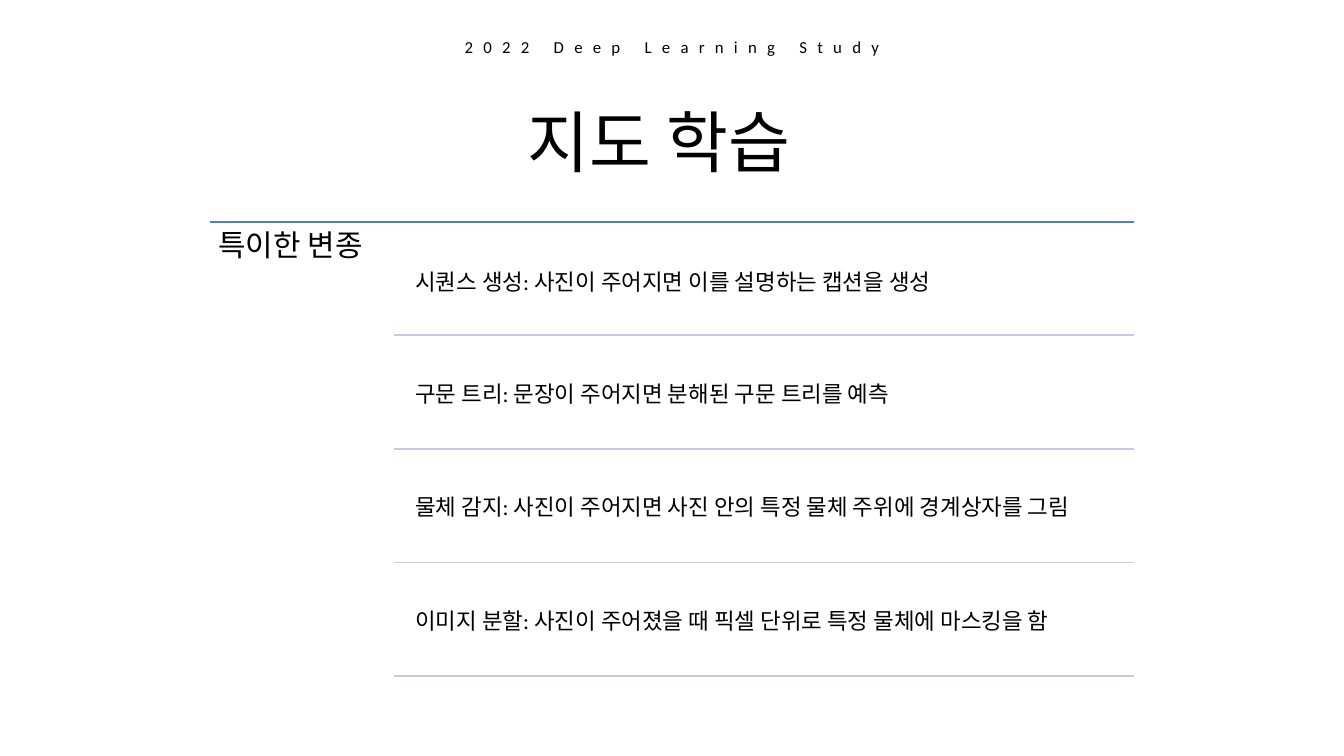
from pptx import Presentation
from pptx.dml.color import RGBColor
from pptx.enum.shapes import MSO_CONNECTOR
from pptx.enum.text import MSO_ANCHOR, PP_ALIGN
from pptx.oxml.ns import qn
from pptx.util import Inches, Pt

STRAIGHT = MSO_CONNECTOR.STRAIGHT
TOP, MIDDLE = MSO_ANCHOR.TOP, MSO_ANCHOR.MIDDLE
LEFT, CENTER = PP_ALIGN.LEFT, PP_ALIGN.CENTER
BLACK = RGBColor(0x00, 0x00, 0x00)
BLUE = RGBColor(0x4F, 0x81, 0xBD)
PALE_BLUE = RGBColor(0xC2, 0xCD, 0xE1)

LIST_LEFT, LIST_RIGHT, LIST_TOP = 3.12, 16.87, 3.3
ITEM_LEFT, RULE_LEFT = 6.08, 5.87
ROW, GAP = 1.69, 0.08
ITEMS = [
    "시퀀스 생성: 사진이 주어지면 이를 설명하는 캡션을 생성",
    "구문 트리: 문장이 주어지면 분해된 구문 트리를 예측",
    "물체 감지: 사진이 주어지면 사진 안의 특정 물체 주위에 경계상자를 그림",
    "이미지 분할: 사진이 주어졌을 때 픽셀 단위로 특정 물체에 마스킹을 함",
]

prs = Presentation()
prs.slide_width, prs.slide_height = Inches(20), Inches(11.25)
s = prs.slides.add_slide(prs.slide_layouts[5])


def write(sp, box, text, size, align=LEFT, anchor=TOP, inset=0.1, spacing=1.0):
    """Place a text shape, fill it with one paragraph and return the run."""
    sp.left, sp.top, sp.width, sp.height = (Inches(v) for v in box)
    tf = sp.text_frame
    frame = {"word_wrap": True, "vertical_anchor": anchor,
             "margin_left": Inches(inset), "margin_right": Inches(inset),
             "margin_top": Inches(min(inset, 0.13) if inset > 0.1 else 0.05),
             "margin_bottom": Inches(0.05)}
    for name, value in frame.items():
        setattr(tf, name, value)
    p = tf.paragraphs[0]
    p.alignment, p.line_spacing = align, spacing
    r = p.add_run()
    r.text = text
    for name, value in {"name": "Calibri", "size": Pt(size)}.items():
        setattr(r.font, name, value)
    r.font.color.rgb = BLACK
    return r


def add_rule(left, y, color):
    rule = s.shapes.add_connector(STRAIGHT, Inches(left), Inches(y),
                                  Inches(LIST_RIGHT), Inches(y))
    rule.line.color.rgb = color
    rule.line.width = Pt(2)
    sp_pr = rule._element.spPr
    sp_pr.append(sp_pr.makeelement(qn("a:effectLst"), {}))


# Header and title
header = s.shapes.add_textbox(0, 0, 0, 0)
r = write(header, (1.53, 0.49, 16.94, 0.4), "2022 Deep Learning Study", 18,
          align=CENTER, anchor=MIDDLE)
r.font._element.set("spc", "1100")
write(s.shapes.title, (7.75, 1.44, 4.5, 1.31), "지도 학습", 72)

# List heading
add_rule(LIST_LEFT, LIST_TOP, BLUE)
heading = s.shapes.add_textbox(0, 0, 0, 0)
write(heading, (LIST_LEFT, LIST_TOP, 2.75, 6.85), "특이한 변종", 32,
      inset=0.13, spacing=0.9)

# One ruled row per item
for i, item in enumerate(ITEMS):
    y = LIST_TOP + i * ROW
    box = (ITEM_LEFT, y + GAP, LIST_RIGHT - ITEM_LEFT, ROW - GAP)
    write(s.shapes.add_textbox(0, 0, 0, 0), box, item, 24, anchor=MIDDLE,
          spacing=0.9 if i else 1.0)
    add_rule(RULE_LEFT, y + ROW, PALE_BLUE)

prs.save("out.pptx")
